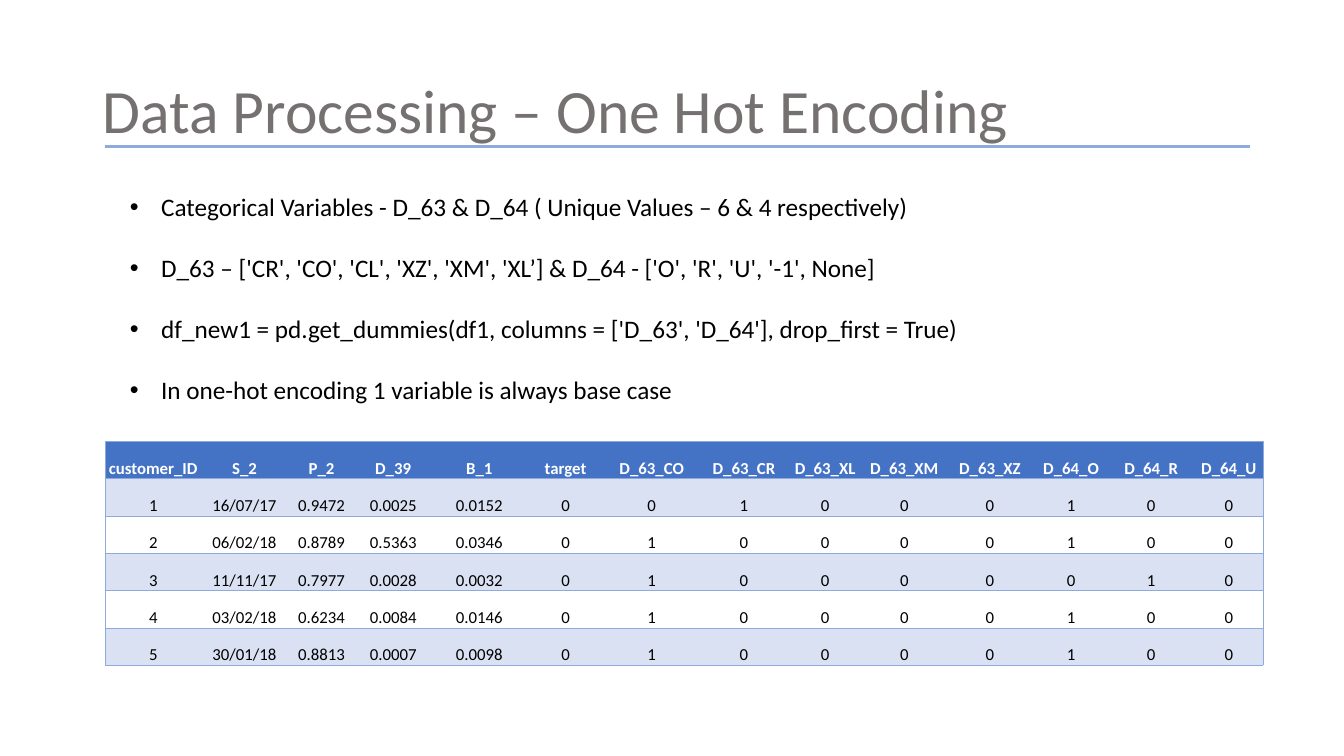
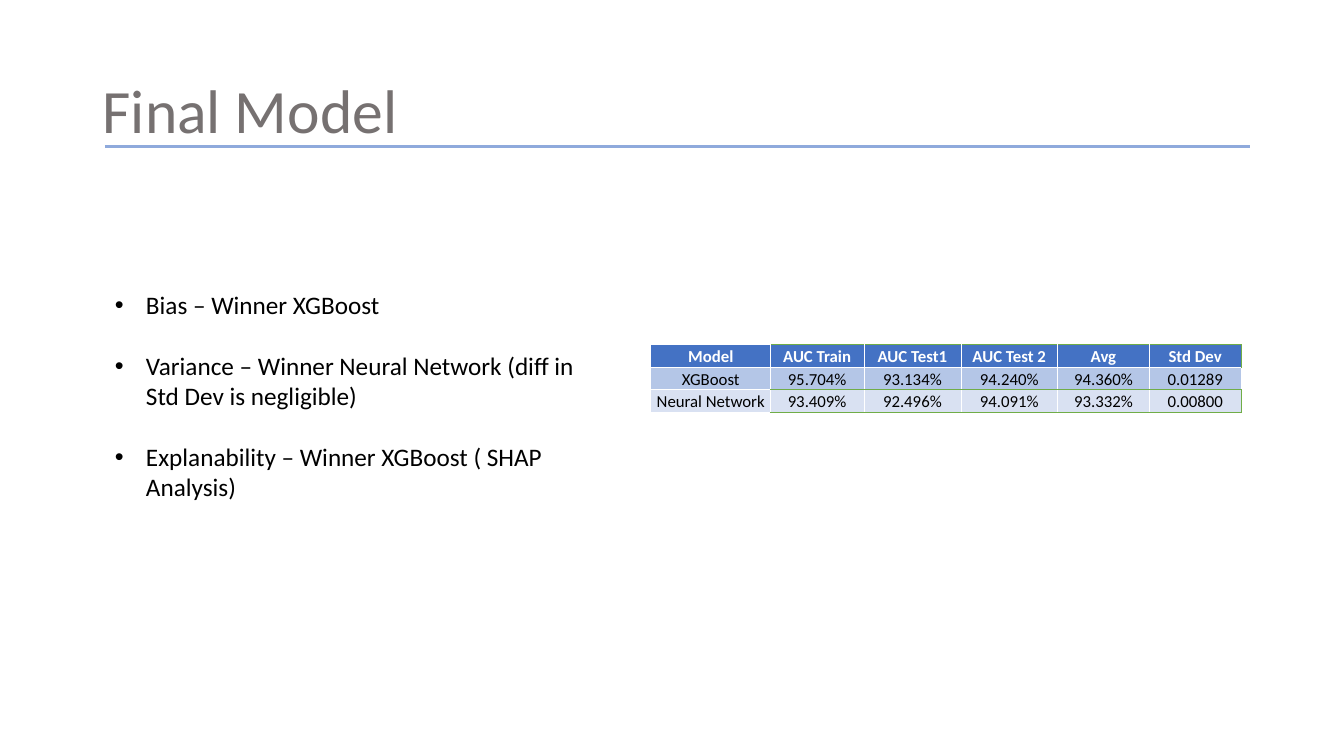
from dataclasses import dataclass

from lxml.etree import SubElement
from pptx import Presentation
from pptx.dml.color import RGBColor
from pptx.enum.shapes import MSO_CONNECTOR
from pptx.enum.text import MSO_ANCHOR, PP_ALIGN
from pptx.oxml.ns import qn
from pptx.util import Inches, Pt


@dataclass(frozen=True)
class Theme:
    font: str = "Calibri"
    title: str = "767171"
    text: str = "000000"
    white: str = "FFFFFF"
    rule: str = "8FAADC"
    head: str = "4472C4"
    band: str = "B4C6E7"
    pale: str = "D9E1F2"
    grid: str = "8EA9DB"
    green: str = "70AD47"
    title_size: int = 44
    body_size: int = 18
    cell_size: int = 12
    gap: int = 22
    rule_width: int = 2
    grid_width: float = 0.5


THEME = Theme()
PLAIN = "{2D5ABB26-0587-4C30-8999-92F81FD0307C}"  # table style without fills or lines
TITLE_BOX = (0.92, 0.4, 11.5, 1.45)
RULE_ENDS = (1.04, 1.45, 12.4, 1.45)

STEPS = [
    "Categorical Variables - D_63 & D_64 ( Unique Values – 6 & 4 respectively)",
    "D_63 – ['CR', 'CO', 'CL', 'XZ', 'XM', 'XL’] & D_64 - ['O', 'R', 'U', '-1', None]",
    "df_new1 = pd.get_dummies(df1, columns = ['D_63', 'D_64'], drop_first = True)",
    "In one-hot encoding 1 variable is always base case",
]
CODES = [line.split() for line in (
    "customer_ID S_2 P_2 D_39 B_1 target D_63_CO D_63_CR D_63_XL D_63_XM D_63_XZ"
    " D_64_O D_64_R D_64_U",
    "1 16/07/17 0.9472 0.0025 0.0152 0 0 1 0 0 0 1 0 0",
    "2 06/02/18 0.8789 0.5363 0.0346 0 1 0 0 0 0 1 0 0",
    "3 11/11/17 0.7977 0.0028 0.0032 0 1 0 0 0 0 0 1 0",
    "4 03/02/18 0.6234 0.0084 0.0146 0 1 0 0 0 0 1 0 0",
    "5 30/01/18 0.8813 0.0007 0.0098 0 1 0 0 0 0 1 0 0",
)]
CODE_COLS = [0.96, 0.85, 0.68, 0.74, 0.97, 0.74, 0.97,
             0.86, 0.75, 0.82, 0.88, 0.73, 0.86, 0.68]

POINTS = [
    "Bias – Winner XGBoost",
    "Variance – Winner Neural Network (diff in Std Dev is negligible)",
    "Explanability – Winner XGBoost ( SHAP Analysis)",
]
SCORES = [
    ["Model", "AUC Train", "AUC Test1", "AUC Test 2", "Avg", "Std Dev"],
    ["XGBoost", "95.704%", "93.134%", "94.240%", "94.360%", "0.01289"],
    ["Neural Network", "93.409%", "92.496%", "94.091%", "93.332%", "0.00800"],
]
SCORE_COLS = [1.18, 0.93, 0.96, 0.96, 0.91, 0.91]


def apply(target, **values):
    for name, value in values.items():
        setattr(target, name, value)


def write(par, text, size, color, bold=False):
    run = par.add_run()
    run.text = text
    apply(run.font, name=THEME.font, size=Pt(size), bold=bold)
    run.font.color.rgb = RGBColor.from_string(color)


def add_text(slide, box, **format):
    frame = slide.shapes.add_textbox(*map(Inches, box)).text_frame
    apply(frame, word_wrap=True, **format)
    return frame


def add_header(slide, title):
    par = add_text(slide, TITLE_BOX, vertical_anchor=MSO_ANCHOR.MIDDLE).paragraphs[0]
    par.line_spacing = 0.9
    write(par, title, THEME.title_size, THEME.title)
    rule = slide.shapes.add_connector(MSO_CONNECTOR.STRAIGHT, *map(Inches, RULE_ENDS))
    rule.line.color.rgb = RGBColor.from_string(THEME.rule)
    rule.line.width = Pt(THEME.rule_width)
    SubElement(rule._element.spPr, qn("a:effectLst"))


def add_bullets(slide, box, items):
    frame = add_text(slide, box)
    for i, item in enumerate(items):
        par = frame.add_paragraph() if i else frame.paragraphs[0]
        par.space_before = Pt(THEME.gap if i else 0)
        write(par, item, THEME.body_size, THEME.text)
        props = par._p.get_or_add_pPr()
        props.set("marL", str(Inches(0.31)))
        props.set("indent", str(-Inches(0.31)))
        SubElement(props, qn("a:buFont"), typeface="Arial")
        SubElement(props, qn("a:buChar"), char="•")


def add_edge(cell, side, color):
    if color:
        line = SubElement(cell._tc.get_or_add_tcPr(), qn(f"a:ln{side}"),
                          w=str(Pt(THEME.grid_width)))
        fill = SubElement(line, qn("a:solidFill"))
        SubElement(fill, qn("a:srgbClr"), val=color)


def add_grid(slide, box, data, widths, fills, across, down):
    """Draw a table; across(line, col) and down(row, line) give line colours."""
    shape = slide.shapes.add_table(len(data), len(widths), *map(Inches, box))
    table = shape.table
    table._tbl.tblPr.find(qn("a:tableStyleId")).text = PLAIN
    for col, width in zip(table.columns, widths):
        col.width = Inches(width)
    for r, values in enumerate(data):
        table.rows[r].height = Inches(box[3] / len(data))
        for c, value in enumerate(values):
            cell = table.cell(r, c)
            apply(cell, vertical_anchor=MSO_ANCHOR.BOTTOM, margin_bottom=0,
                  margin_left=Inches(0.01), margin_right=Inches(0.01),
                  margin_top=Inches(0.01))
            par = cell.text_frame.paragraphs[0]
            par.alignment = PP_ALIGN.CENTER
            write(par, value, THEME.cell_size,
                  THEME.text if r else THEME.white, bold=not r)
            edges = {"L": down(r, c), "R": down(r, c + 1),
                     "T": across(r, c), "B": across(r + 1, c)}
            for side, color in edges.items():
                add_edge(cell, side, color)
            if fills[r]:
                cell.fill.solid()
                cell.fill.fore_color.rgb = RGBColor.from_string(fills[r])
            else:
                cell.fill.background()


def add_codes(slide, box):
    fills = [THEME.head] + [THEME.pale if r % 2 else None for r in range(1, len(CODES))]
    ends = (0, len(CODE_COLS))
    add_grid(slide, box, CODES, CODE_COLS, fills,
             across=lambda line, col: THEME.grid,
             down=lambda row, line: THEME.grid if line in ends else None)


def add_scores(slide, box):
    def across(line, col):
        if line == 1:
            return THEME.white
        if col == 0:
            return THEME.white if line == 2 else None
        return THEME.green

    def down(row, line):
        if line == 0:
            return None
        if line == len(SCORE_COLS):
            return None if row == 1 else THEME.green
        return THEME.white

    fills = [THEME.head, THEME.band, THEME.pale]
    add_grid(slide, box, SCORES, SCORE_COLS, fills, across, down)


def encoding_slide(slide):
    add_header(slide, "Data Processing – One Hot Encoding")
    add_bullets(slide, (1.19, 1.85, 11.21, 2.22), STEPS)
    add_codes(slide, (1.04, 4.38, 11.5, 2.22))


def model_slide(slide):
    add_header(slide, "Final Model")
    add_bullets(slide, (1.04, 2.82, 4.96, 2.52), POINTS)
    add_scores(slide, (6.46, 3.42, 5.83, 0.67))


def main():
    deck = Presentation()
    apply(deck, slide_width=Inches(13.33), slide_height=Inches(7.5))
    for build in (encoding_slide, model_slide):
        build(deck.slides.add_slide(deck.slide_layouts[6]))
    deck.save("out.pptx")


if __name__ == "__main__":
    main()
